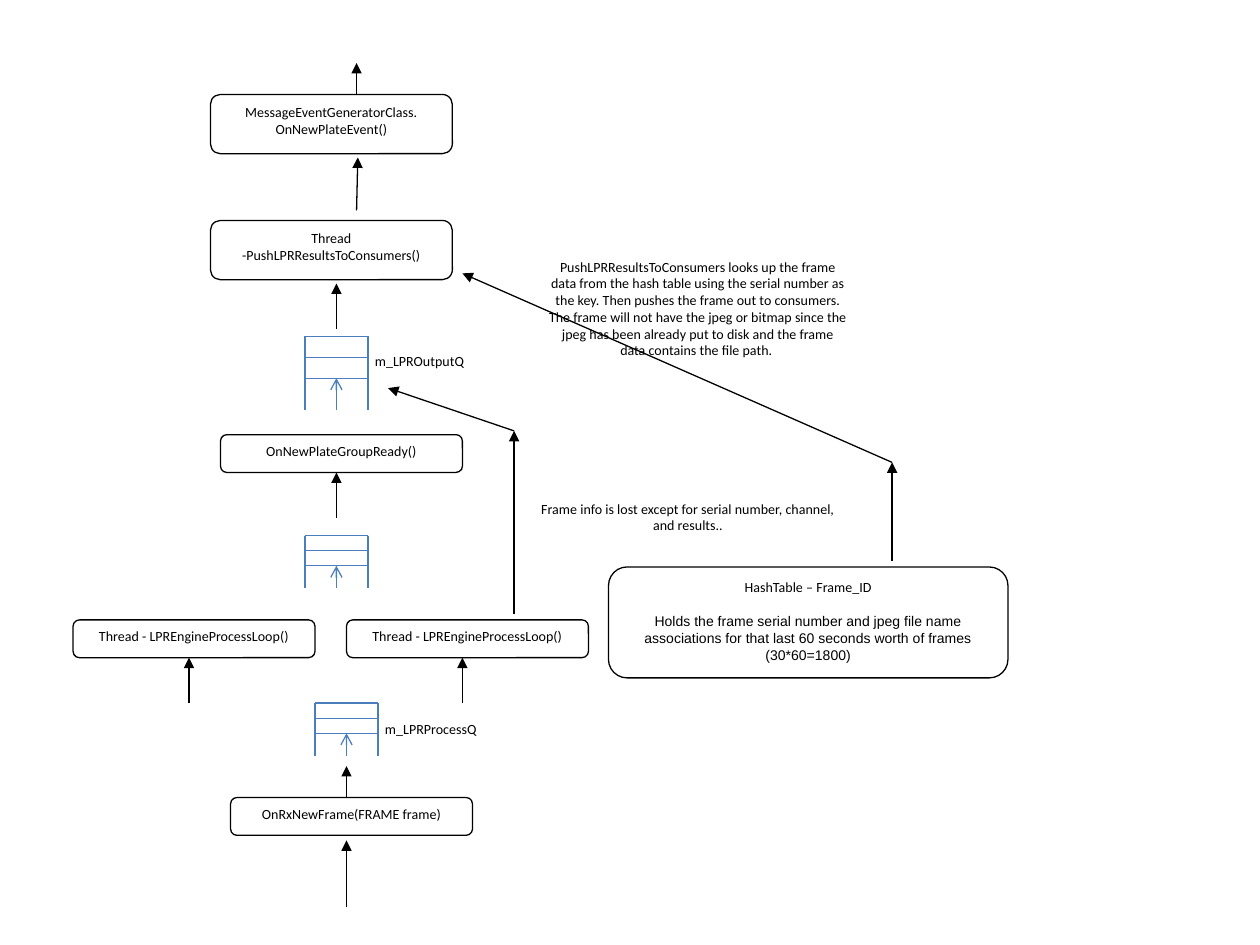
from dataclasses import dataclass

from lxml.etree import SubElement
from pptx import Presentation
from pptx.dml.color import RGBColor
from pptx.enum.shapes import MSO_CONNECTOR as LINE, MSO_SHAPE as SHAPE
from pptx.enum.text import MSO_ANCHOR as ANCHOR, PP_ALIGN as ALIGN
from pptx.oxml.ns import qn
from pptx.shapes.connector import Connector
from pptx.shapes.shapetree import GroupShapes, SlideShapes
from pptx.text.text import TextFrame
from pptx.util import Inches, Pt

BLACK = RGBColor(0x00, 0x00, 0x00)
WHITE = RGBColor(0xFF, 0xFF, 0xFF)
BLUE = RGBColor(0x4B, 0x7E, 0xBC)
FONTS = ("Calibri", "Arial")  # first paragraph, second paragraph
THIN = Pt(0.75)
STEP_W, LOW, TALL = 1.92, 0.3, 0.47
QUEUE_W = 0.5


@dataclass
class Block:
    left: float
    top: float
    width: float
    height: float
    lines: tuple[str, ...]


@dataclass
class Queue:
    left: float
    top: float
    height: float


@dataclass
class Arrow:
    x1: float
    y1: float
    x2: float
    y2: float


BOXES = [
    Block(1.67, 0.75, STEP_W, TALL, ("MessageEventGeneratorClass. OnNewPlateEvent()",)),
    Block(1.67, 1.75, STEP_W, TALL, ("Thread -PushLPRResultsToConsumers()",)),
    Block(1.75, 3.45, STEP_W, LOW, ("OnNewPlateGroupReady()",)),
    *(Block(x, 4.92, STEP_W, LOW, ("Thread - LPREngineProcessLoop()",))
      for x in (0.58, 2.75)),
    Block(1.83, 6.33, STEP_W, LOW, ("OnRxNewFrame(FRAME frame)",)),
    Block(4.83, 4.5, 3.17, 0.88, (
        "HashTable – Frame_ID",
        "Holds the frame serial number and jpeg file name associations for "
        "that last 60 seconds worth of frames (30*60=1800)")),
]

NOTES = [
    Block(2.83, 2.75, 1, 0.34, ("m_LPROutputQ",)),
    Block(2.92, 5.67, 1, 0.34, ("m_LPRProcessQ",)),
    Block(4.17, 3.92, 2.58, 0.58, (
        "Frame info is lost except for serial number, channel, and results..",)),
    Block(4.25, 2, 2.58, 1.17, (
        "PushLPRResultsToConsumers looks up the frame data from the hash table "
        "using the serial number as the key. Then pushes the frame out to "
        "consumers. The frame will not have the jpeg or bitmap since the jpeg "
        "has been already put to disk and the frame data contains the file path. ",)),
]

QUEUES = [Queue(2.42, 2.67, 0.58), Queue(2.42, 4.25, 0.42), Queue(2.5, 5.58, 0.42)]

ARROWS = [
    Arrow(2.83, 0.75, 2.83, 0.5),
    Arrow(2.83, 1.67, 2.84, 1.25),
    Arrow(2.67, 2.61, 2.67, 2.25),
    Arrow(2.67, 4.11, 2.67, 3.75),
    Arrow(1.5, 5.58, 1.5, 5.22),
    Arrow(3.67, 5.58, 3.67, 5.22),
    Arrow(2.75, 6.33, 2.75, 6.08),
    Arrow(2.75, 7.2, 2.75, 6.67),
    Arrow(4.08, 4.87, 4.08, 3.42),
    Arrow(4.08, 3.42, 3.08, 3.08),
    Arrow(7.08, 4.45, 7.08, 3.67),
    Arrow(7.08, 3.67, 3.67, 2.17),
]


def write(frame: TextFrame, lines: tuple[str, ...]) -> None:
    frame.word_wrap = True
    frame.vertical_anchor = ANCHOR.TOP
    for i, (line, face) in enumerate(zip(lines, FONTS)):
        para = frame.add_paragraph() if i else frame.paragraphs[0]
        para.text = line
        para.alignment = ALIGN.CENTER
        para.space_after = Pt(10)
        para.font.name = face
        para.font.size = Pt(8)
        para.font.color.rgb = BLACK


def area(block: Block) -> list[int]:
    return [Inches(n) for n in (block.left, block.top, block.width, block.height)]


def draw_box(shapes: SlideShapes, block: Block) -> None:
    box = shapes.add_shape(SHAPE.ROUNDED_RECTANGLE, *area(block))
    box.shadow.inherit = False
    box.fill.solid()
    box.fill.fore_color.rgb = WHITE
    box.line.color.rgb = BLACK
    box.line.width = THIN
    write(box.text_frame, block.lines)


def draw_note(shapes: SlideShapes, block: Block) -> None:
    write(shapes.add_textbox(*area(block)).text_frame, block.lines)


def draw_line(shapes: SlideShapes | GroupShapes, ends: Arrow,
              color: RGBColor, head: str = "") -> Connector:
    """Draw a line, with an arrowhead of the given type at its far end."""
    points = [Inches(n) for n in (ends.x1, ends.y1, ends.x2, ends.y2)]
    line = shapes.add_connector(LINE.STRAIGHT, *points)
    line.line.color.rgb = color
    line.line.width = THIN
    props = line._element.spPr
    if head:
        SubElement(props.find(qn("a:ln")), qn("a:tailEnd"), type=head)
    SubElement(props, qn("a:effectLst"))
    return line


def draw_queue(shapes: SlideShapes, queue: Queue) -> None:
    """Draw an open-bottomed stack of two slots with an arrow entering below."""
    group = shapes.add_group_shape().shapes
    left, right = queue.left, queue.left + QUEUE_W
    base, slot = queue.top + queue.height, queue.height * 2 / 7
    for x in (left, right):
        draw_line(group, Arrow(x, queue.top, x, base), BLUE)
    for i in range(3):
        y = queue.top + i * slot
        draw_line(group, Arrow(left, y, right, y), BLUE)
    mid = left + QUEUE_W / 2
    draw_line(group, Arrow(mid, base, mid, queue.top + 2 * slot), BLUE, "arrow")


def main() -> None:
    deck = Presentation()
    deck.slide_width, deck.slide_height = Inches(10), Inches(7.5)
    shapes = deck.slides.add_slide(deck.slide_layouts[6]).shapes
    for box in BOXES:
        draw_box(shapes, box)
    for queue in QUEUES:
        draw_queue(shapes, queue)
    for arrow in ARROWS:
        draw_line(shapes, arrow, BLACK, "triangle")
    for note in NOTES:
        draw_note(shapes, note)
    deck.save("out.pptx")


if __name__ == "__main__":
    main()
